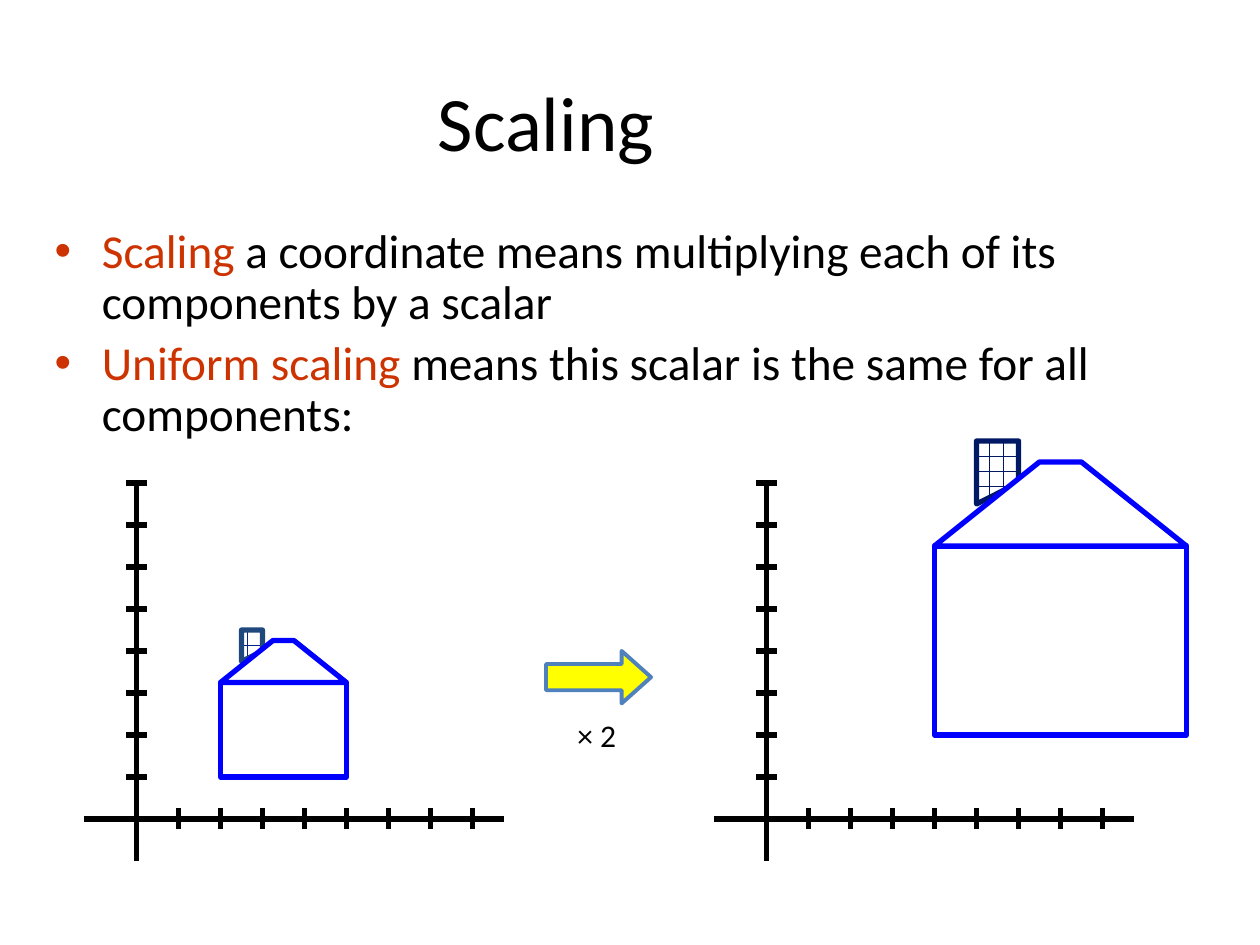
from dataclasses import dataclass

from pptx import Presentation
from pptx.dml.color import RGBColor
from pptx.enum.dml import MSO_PATTERN
from pptx.enum.shapes import MSO_CONNECTOR, MSO_SHAPE
from pptx.enum.text import MSO_ANCHOR, MSO_AUTO_SIZE, PP_ALIGN
from pptx.oxml.ns import qn
from pptx.util import Pt
from lxml import etree

STRAIGHT = MSO_CONNECTOR.STRAIGHT
RECTANGLE, RIGHT_ARROW = MSO_SHAPE.RECTANGLE, MSO_SHAPE.RIGHT_ARROW
BRICK = MSO_PATTERN.HORIZONTAL_BRICK
MIDDLE, CENTER = MSO_ANCHOR.MIDDLE, PP_ALIGN.CENTER
NO_FIT, GROW = MSO_AUTO_SIZE.NONE, MSO_AUTO_SIZE.SHAPE_TO_FIT_TEXT

PX = 7620  # EMU per px, 120 px to the inch
UNIT = 40  # one step on the axes
TICKS = 8
TICK_HALF = 10
FONT = "Calibri"
BLACK, WHITE, BLUE, RED, YELLOW = "000000", "FFFFFF", "0000FF", "CC3300", "FFFF00"
ARROW_BLUE = "4F81BD"

# House corners in px from the origin of the axes, y pointing down
WALL = (80, -130, 120, 90)
ROOF = [(80, -130), (130, -170), (150, -170), (200, -130)]
CHIMNEY = [(100, -150), (100, -180), (120, -180), (120, -160)]


@dataclass(frozen=True)
class Plot:
    x: int
    y: int
    factor: int
    brick: str
    chimney_line: str


PLOTS = [
    Plot(130, 780, 1, "032389", "1F497D"),
    Plot(730, 780, 2, "011965", "011965"),
]
BULLETS = [
    ("Scaling", " a coordinate means multiplying each of its components by a scalar"),
    ("Uniform scaling", " means this scalar is the same for all components:"),
]


def rgb(color: str) -> RGBColor:
    return RGBColor.from_string(color)


def place(sp, x: int, y: int, w: int, h: int) -> None:
    sp.left, sp.top, sp.width, sp.height = (v * PX for v in (x, y, w, h))


def add_text(p, text: str, *, size: float, color: str = BLACK) -> None:
    r = p.add_run()
    r.text = text
    r.font.name = FONT
    r.font.size = Pt(size)
    r.font.color.rgb = rgb(color)


def add_line(shapes, x1: int, y1: int, x2: int, y2: int) -> None:
    line = shapes.add_connector(STRAIGHT, x1 * PX, y1 * PX, x2 * PX, y2 * PX)
    line.line.color.rgb = rgb(BLACK)
    line.line.width = Pt(3)
    etree.SubElement(line._element.spPr, qn("a:effectLst"))


def paint(sp, fill: str, line: str, width: float = 3) -> None:
    sp.shadow.inherit = False
    sp.fill.solid()
    sp.fill.fore_color.rgb = rgb(fill)
    sp.line.color.rgb = rgb(line)
    sp.line.width = Pt(width)


def add_polygon(shapes, points: list[tuple[int, int]]):
    builder = shapes.build_freeform(*points[0], scale=PX)
    builder.add_line_segments(points[1:], close=True)
    return builder.convert_to_shape()


def add_axes(s, plot: Plot) -> None:
    shapes = s.shapes.add_group_shape().shapes
    x, y = plot.x, plot.y
    add_line(shapes, x, y - TICKS * UNIT, x, y + UNIT)
    add_line(shapes, x - 50, y, x + 350, y)
    for step in range(UNIT, (TICKS + 1) * UNIT, UNIT):
        add_line(shapes, x + step, y - TICK_HALF, x + step, y + TICK_HALF)
        add_line(shapes, x - TICK_HALF, y - step, x + TICK_HALF, y - step)


def add_house(s, plot: Plot) -> None:
    """Draw the house with every coordinate multiplied by the plot's factor."""
    shapes = s.shapes.add_group_shape().shapes

    def scaled(points: list[tuple[int, int]]) -> list[tuple[int, int]]:
        return [(plot.x + plot.factor * x, plot.y + plot.factor * y) for x, y in points]

    chimney = add_polygon(shapes, scaled(CHIMNEY))
    paint(chimney, WHITE, plot.chimney_line)
    chimney.fill.patterned()
    chimney.fill.pattern = BRICK
    chimney.fill.fore_color.rgb = rgb(plot.brick)
    chimney.fill.back_color.rgb = rgb(WHITE)

    x, y, w, h = WALL
    left, top = scaled([(x, y)])[0]
    size = (w * plot.factor * PX, h * plot.factor * PX)
    paint(shapes.add_shape(RECTANGLE, left * PX, top * PX, *size), WHITE, BLUE)
    paint(add_polygon(shapes, scaled(ROOF)), WHITE, BLUE)


def add_title_and_bullets(s) -> None:
    title, body = s.shapes.title, s.placeholders[1]
    place(title, 35, 40, 970, 150)
    tf = title.text_frame
    tf.vertical_anchor = MIDDLE
    tf.auto_size = NO_FIT
    tf.paragraphs[0].alignment = CENTER
    add_text(tf.paragraphs[0], "Scaling", size=44)

    place(body, 40, 211, 1124, 269)
    tf = body.text_frame
    tf.auto_size = NO_FIT
    for i, (term, meaning) in enumerate(BULLETS):
        p = tf.add_paragraph() if i else tf.paragraphs[0]
        p.line_spacing = 0.9
        add_text(p, term, size=27, color=RED)
        add_text(p, meaning, size=27)


def add_factor_arrow(s) -> None:
    arrow = s.shapes.add_shape(RIGHT_ARROW, 520 * PX, 620 * PX, 100 * PX, 50 * PX)
    arrow.adjustments[0] = 0.5
    arrow.adjustments[1] = 0.56
    paint(arrow, YELLOW, ARROW_BLUE, 2.25)

    label = s.shapes.add_textbox(538 * PX, 676 * PX, 64 * PX, 48 * PX)
    tf = label.text_frame
    tf.word_wrap = False
    tf.auto_size = GROW
    tf.vertical_anchor = MIDDLE
    add_text(tf.paragraphs[0], "× 2", size=18)


def main() -> None:
    prs = Presentation()
    prs.slide_width, prs.slide_height = 1200 * PX, 900 * PX
    s = prs.slides.add_slide(prs.slide_layouts[1])
    add_title_and_bullets(s)
    for plot in PLOTS:
        add_axes(s, plot)
        add_house(s, plot)
    add_factor_arrow(s)
    prs.save("out.pptx")


if __name__ == "__main__":
    main()
